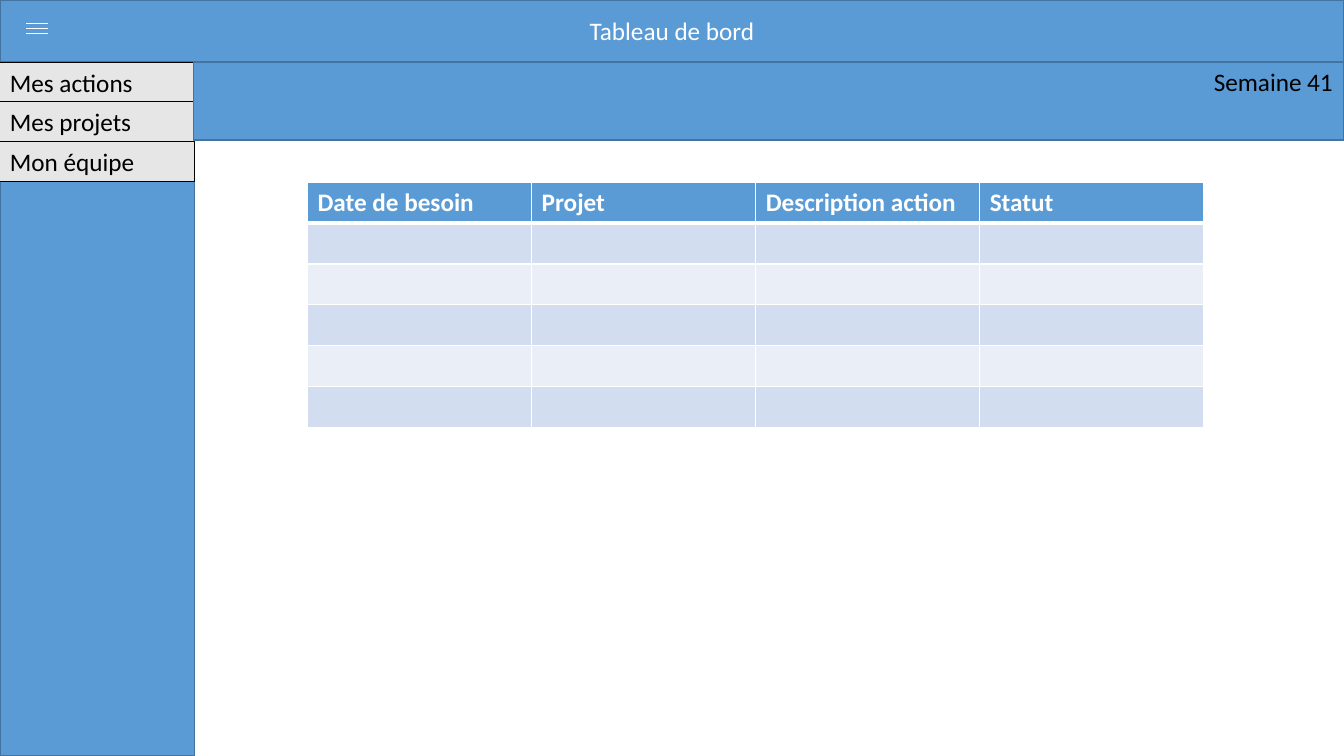
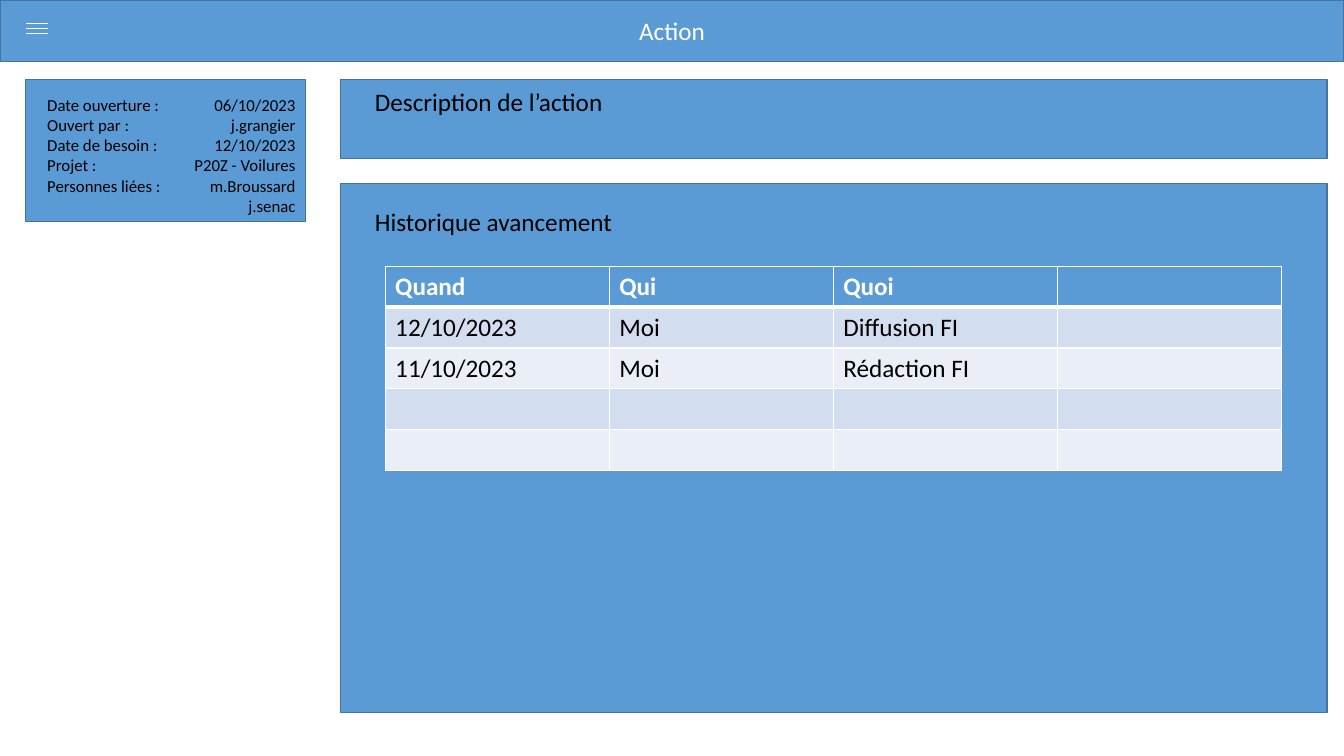
import pptx
import pptx.util
import pptx.dml.color
import pptx.enum.shapes
import pptx.enum.text
import pptx.oxml
import pptx.oxml.ns
from lxml import etree

Inches = pptx.util.Inches
Pt = pptx.util.Pt
ALIGN = pptx.enum.text.PP_ALIGN
ANCHOR = pptx.enum.text.MSO_ANCHOR

COLORS = {
    "panel": "5B9BD5", "edge": "43739E", "menu": "E7E6E6",
    "odd": "D2DEEF", "even": "EAEFF7", "white": "FFFFFF", "black": "000000",
}
FONT = "Calibri"
WIDTH, HEIGHT = 13.33, 7.5
BAND_HEIGHT = 0.61
MENU_WIDTH = 1.93
ICON_LEFT, ICON_RIGHT, ICON_TOP, ICON_GAP = 0.26, 0.48, 0.23, 0.05

MENU = ["Mes actions", "Mes projets", "Mon équipe"]
ACTIONS = [["Date de besoin", "Projet", "Description action", "Statut"]] + [[""] * 4] * 5
HISTORY = [
    ["Quand", "Qui", "Quoi", ""],
    ["12/10/2023", "Moi", "Diffusion FI", ""],
    ["11/10/2023", "Moi", "Rédaction FI", ""],
] + [[""] * 4] * 2
DETAIL_LABELS = ["Date ouverture :", "Ouvert par :", "Date de besoin :", "Projet :", "Personnes liées :"]
DETAIL_VALUES = ["06/10/2023", "j.grangier", "12/10/2023", "P20Z - Voilures", "m.Broussard", "j.senac"]


def color(name):
    return pptx.dml.color.RGBColor.from_string(COLORS[name])


def write(frame, text, size=18, tint="black", bold=False, align=ALIGN.LEFT,
          anchor=ANCHOR.TOP, wrap=True, grow=False):
    frame.word_wrap = wrap
    frame.vertical_anchor = anchor
    if grow:
        frame.auto_size = pptx.enum.text.MSO_AUTO_SIZE.SHAPE_TO_FIT_TEXT
    lines = [text] if isinstance(text, str) else text
    for index, line in enumerate(lines):
        para = frame.paragraphs[0] if index == 0 else frame.add_paragraph()
        para.alignment = align
        span = para.add_run()
        span.text = line
        span.font.name = FONT
        span.font.size = Pt(size)
        span.font.bold = bold
        span.font.color.rgb = color(tint)


def add_panel(page, left, top, width, height, fill="panel", edge="edge", weight=1):
    panel = page.shapes.add_shape(pptx.enum.shapes.MSO_SHAPE.RECTANGLE,
                                  Inches(left), Inches(top), Inches(width), Inches(height))
    panel.shadow.inherit = False
    panel.fill.solid()
    panel.fill.fore_color.rgb = color(fill)
    panel.line.color.rgb = color(edge)
    panel.line.width = Pt(weight)
    return panel


def add_label(page, text, left, top, width, height, **style):
    box = page.shapes.add_textbox(Inches(left), Inches(top), Inches(width), Inches(height))
    write(box.text_frame, text, wrap=False, grow=True, **style)


def add_borders(cell, bottom):
    properties = cell._tc.get_or_add_tcPr()
    weights = {"lnL": 1, "lnR": 1, "lnT": 1, "lnB": bottom}
    for index, (side, weight) in enumerate(weights.items()):
        border = etree.Element(pptx.oxml.ns.qn("a:" + side), w=str(Pt(weight)))
        fill = etree.SubElement(border, pptx.oxml.ns.qn("a:solidFill"))
        etree.SubElement(fill, pptx.oxml.ns.qn("a:srgbClr"), val=COLORS["white"])
        properties.insert(index, border)


def add_grid(page, rows, left, top, width, height):
    frame = page.shapes.add_table(len(rows), len(rows[0]), Inches(left), Inches(top),
                                  Inches(width), Inches(height))
    for row_index, row in enumerate(rows):
        header = row_index == 0
        fill = "panel" if header else ("odd" if row_index % 2 else "even")
        for column_index, text in enumerate(row):
            cell = frame.table.cell(row_index, column_index)
            cell.fill.solid()
            cell.fill.fore_color.rgb = color(fill)
            add_borders(cell, 3 if header else 1)
            if text:
                write(cell.text_frame, text, bold=header, tint="white" if header else "black")


def add_page(deck, title):
    page = deck.slides.add_slide(deck.slide_layouts[6])
    band = add_panel(page, 0, 0, WIDTH, BAND_HEIGHT)
    write(band.text_frame, title, tint="white", align=ALIGN.CENTER, anchor=ANCHOR.MIDDLE)
    icon = page.shapes.add_group_shape()
    for index in range(3):
        y = Inches(ICON_TOP + index * ICON_GAP)
        bar = icon.shapes.add_connector(pptx.enum.shapes.MSO_CONNECTOR.STRAIGHT,
                                        Inches(ICON_LEFT), y, Inches(ICON_RIGHT), y)
        bar.line.color.rgb = color("white")
        bar.line.width = Pt(0.5)
        etree.SubElement(bar._element.spPr, pptx.oxml.ns.qn("a:effectLst"))
    return page


def build_dashboard(deck):
    page = add_page(deck, "Tableau de bord")
    add_panel(page, 0, BAND_HEIGHT, MENU_WIDTH, HEIGHT - BAND_HEIGHT)
    for index, entry in enumerate(MENU):
        item = add_panel(page, 0, 0.62 + index * 0.39, MENU_WIDTH, 0.4,
                         fill="menu", edge="black", weight=0.75)
        write(item.text_frame, entry, grow=True)
    add_panel(page, 1.92, 0.62, WIDTH - 1.92, 0.77)
    add_label(page, "Semaine 41", 11.94, 0.61, 1.4, 0.4)
    add_grid(page, ACTIONS, 3.05, 1.81, 8.89, 2.43)


def build_action(deck):
    page = add_page(deck, "Action")
    add_panel(page, 0.25, 0.79, 2.78, 1.41)
    add_label(page, DETAIL_LABELS, 0.37, 0.89, 1.36, 1.11, size=12)
    add_label(page, DETAIL_VALUES, 1.82, 0.89, 1.21, 1.31, size=12, align=ALIGN.RIGHT)
    add_panel(page, 3.38, 0.79, 9.78, 0.78)
    add_label(page, "Description de l’action", 3.62, 0.81, 2.49, 0.4)
    add_panel(page, 3.38, 1.82, 9.78, 5.25)
    add_label(page, "Historique avancement", 3.62, 2, 2.58, 0.4)
    add_grid(page, HISTORY, 3.82, 2.64, 8.89, 2.03)


def main():
    deck = pptx.Presentation()
    deck.slide_width = Inches(WIDTH)
    deck.slide_height = Inches(HEIGHT)
    build_dashboard(deck)
    build_action(deck)
    deck.save("out.pptx")


if __name__ == "__main__":
    main()
